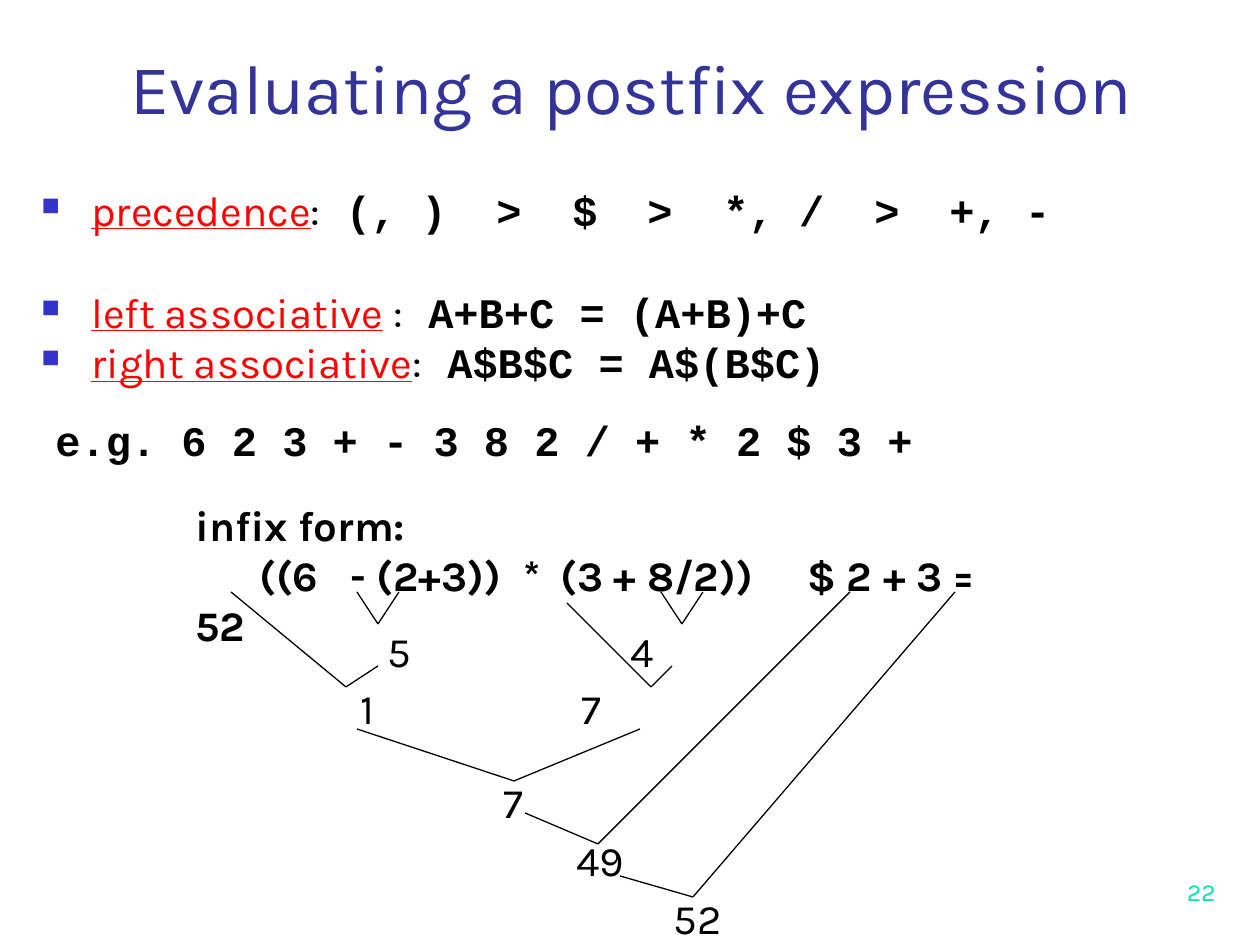
from typing import NamedTuple
from dataclasses import dataclass

from lxml import etree
from pptx import Presentation
from pptx import util as u
from pptx.dml.color import RGBColor
from pptx.enum import shapes, text
from pptx.oxml.ns import qn

PX = 914400 // 126


@dataclass(frozen=True)
class Theme:
    sans: str = "Karla"
    mono: str = "Courier New"
    ink: str = "000000"
    head: str = "333399"
    term: str = "FF0000"
    mark: str = "3333CC"
    page: str = "00E4A8"
    big: int = 40
    body: int = 24
    small: int = 14
    rule: float = 0.75


T = Theme()


class Box(NamedTuple):
    x: int
    y: int
    w: int
    h: int


class Run(NamedTuple):
    text: str
    font: str = T.sans
    color: str = T.ink
    bold: bool = False
    under: bool = False


class Value(NamedTuple):
    text: str
    x: int
    y: int


class Joint(NamedTuple):
    left: tuple[int, int]
    tip: tuple[int, int]
    right: tuple[int, int]


def px(n: int) -> int:
    return u.Emu(n * PX)


def add_bullet(props) -> None:
    props.set("marL", str(px(50)))
    props.set("indent", str(px(-50)))
    color = etree.SubElement(props, qn("a:buClr"))
    etree.SubElement(color, qn("a:srgbClr"), val=T.mark)
    etree.SubElement(props, qn("a:buSzPct"), val="60000")
    etree.SubElement(props, qn("a:buChar"), char="■")


def add_tabs(props, stops: tuple[int, ...]) -> None:
    tabs = etree.SubElement(props, qn("a:tabLst"))
    for stop in stops:
        etree.SubElement(tabs, qn("a:tab"), pos=str(px(stop)), algn="l")


def add_text(slide, box: Box, *lines: list[Run], size: int = T.body,
             align=text.PP_ALIGN.LEFT, anchor=text.MSO_ANCHOR.TOP,
             bullet: bool = False, tabs: tuple[int, ...] = (),
             wrap: bool = True) -> None:
    frame = slide.shapes.add_textbox(*map(px, box)).text_frame
    frame.word_wrap = wrap
    frame.vertical_anchor = anchor
    for i, line in enumerate(lines):
        para = frame.add_paragraph() if i else frame.paragraphs[0]
        props = para._p.get_or_add_pPr()
        if bullet:
            add_bullet(props)
        if tabs:
            add_tabs(props, tabs)
        para.alignment = align
        for part in line:
            run = para.add_run()
            run.text = part.text
            font = run.font
            font.name = part.font
            font.size = u.Pt(size)
            font.bold = part.bold
            font.underline = part.under
            font.color.rgb = RGBColor.from_string(part.color)


def add_line(slide, start: tuple[int, int], end: tuple[int, int]) -> None:
    line = slide.shapes.add_connector(
        shapes.MSO_CONNECTOR.STRAIGHT, *map(px, start + end))
    line.line.color.rgb = RGBColor.from_string(T.ink)
    line.line.width = u.Pt(T.rule)
    etree.SubElement(line._element.spPr, qn("a:effectLst"))


def add_joint(slide, joint: Joint) -> None:
    add_line(slide, joint.left, joint.tip)
    add_line(slide, joint.tip, joint.right)


def add_value(slide, value: Value) -> None:
    add_text(slide, Box(value.x, value.y, 73, 63), [Run(value.text)], wrap=False)


def rule(term: str, colon: str, code: str) -> list[Run]:
    return [Run(term, color=T.term, under=True), Run(colon),
            Run(code, font=T.mono, bold=True)]


VALUES = [
    Value("5", 375, 619), Value("4", 618, 619),
    Value("1", 348, 676), Value("7", 569, 676),
    Value("7", 491, 770), Value("49", 564, 828), Value("52", 661, 886),
]
JOINTS = [
    Joint((357, 592), (378, 624), (399, 592)),
    Joint((661, 592), (682, 624), (703, 592)),
    Joint((231, 592), (346, 687), (378, 666)),
    Joint((567, 603), (651, 687), (672, 666)),
    Joint((357, 729), (514, 781), (640, 729)),
    Joint((525, 813), (598, 844), (850, 592)),
    Joint((620, 876), (693, 897), (955, 592)),
]


def main() -> None:
    deck = Presentation()
    deck.slide_width, deck.slide_height = px(1260), px(945)
    slide = deck.slides.add_slide(deck.slide_layouts[6])

    add_text(slide, Box(94, 9, 1074, 126),
             [Run("Evaluating a postfix expression", color=T.head)],
             size=T.big, align=text.PP_ALIGN.CENTER,
             anchor=text.MSO_ANCHOR.BOTTOM)
    add_text(slide, Box(29, 178, 1144, 63),
             rule("precedence", ":", " (, )\t>\t$\t>\t*, /\t>\t+, -"),
             bullet=True, anchor=text.MSO_ANCHOR.MIDDLE,
             tabs=(455, 531, 606, 682, 833, 908))
    add_text(slide, Box(29, 280, 1157, 113),
             rule("left associative", " :", " A+B+C = (A+B)+C"),
             rule("right associative", ":", " A$B$C = A$(B$C)"),
             bullet=True)
    add_text(slide, Box(43, 408, 954, 63),
             [Run("e.g. 6 2 3 + - 3 8 2 / + * 2 $ 3 +", font=T.mono, bold=True)])
    add_text(slide, Box(183, 493, 837, 164),
             [Run("infix form:", bold=True)],
             [Run("\t((6\t- (2+3))\t*\t(3 + 8/2))\t$ 2 + 3 = 52", bold=True)],
             tabs=(64, 155, 328, 365, 612))

    for joint in JOINTS:
        add_joint(slide, joint)
    for value in VALUES:
        add_value(slide, value)

    add_text(slide, Box(966, 850, 262, 63), [Run("22", color=T.page)],
             size=T.small, align=text.PP_ALIGN.RIGHT,
             anchor=text.MSO_ANCHOR.BOTTOM)
    deck.save("out.pptx")


if __name__ == "__main__":
    main()
